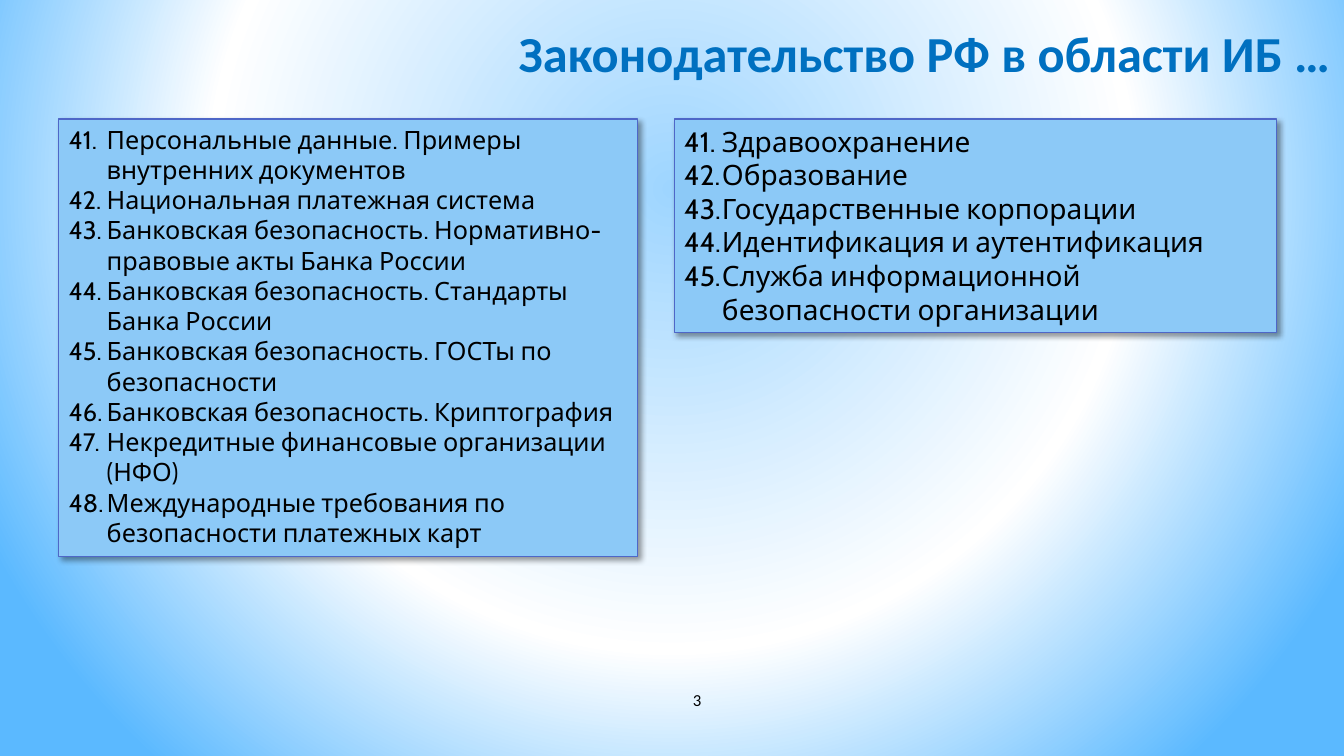
from pptx import Presentation
from pptx.dml.color import RGBColor
from pptx.enum.text import MSO_ANCHOR, MSO_AUTO_SIZE, PP_ALIGN
from pptx.oxml import parse_xml
from pptx.oxml.ns import nsdecls
from pptx.util import Pt

TOP, MIDDLE = MSO_ANCHOR.TOP, MSO_ANCHOR.MIDDLE
RIGHT, CENTER, LEFT = PP_ALIGN.RIGHT, PP_ALIGN.CENTER, PP_ALIGN.LEFT
NO_FIT = MSO_AUTO_SIZE.NONE

THEME = {
    "text": RGBColor.from_string("000000"),
    "title": RGBColor.from_string("0070C0"),
    "panel": RGBColor.from_string("8CC9F7"),
    "border": RGBColor.from_string("4E67C8"),
    "backdrop": [(0, "9ED5FF"), (60, "FFFFFF"), (100, "5BB9FF")],
    "title_size": Pt(36),
    "left_size": Pt(18),
    "right_size": Pt(20),
    "number_size": Pt(12),
    "head_font": "Calibri",
    "body_font": "Cabin",
}
FIRST_NUMBER = 41
HANG = Pt(27)


def set_frame(sp, box, anchor, margins):
    sp.left, sp.top, sp.width, sp.height = [Pt(v) for v in box]
    tf = sp.text_frame
    frame = {"word_wrap": True, "auto_size": NO_FIT, "vertical_anchor": anchor}
    sides = ("margin_left", "margin_top", "margin_right", "margin_bottom")
    frame.update(zip(sides, [Pt(v) for v in margins]))
    for name, value in frame.items():
        setattr(tf, name, value)
    return tf


def write(p, text, align, size, font, color, bold=False):
    p.alignment = align
    p.space_before = Pt(0)
    r = p.add_run()
    r.text = text
    for name, value in {"size": size, "name": font, "bold": bold}.items():
        setattr(r.font, name, value)
    r.font.color.rgb = color


prs = Presentation()
prs.slide_width, prs.slide_height = Pt(960), Pt(540)
s = prs.slides.add_slide(prs.slide_layouts[3])

# Background: radial gradient
s.background.fill.solid()
bg_pr = s.background._cSld.bg.bgPr
stops = "".join(
    f'<a:gs pos="{pos * 1000}"><a:srgbClr val="{color}"/></a:gs>'
    for pos, color in THEME["backdrop"])
bg_pr.replace(bg_pr[0], parse_xml(
    f'<a:gradFill {nsdecls("a")} rotWithShape="1"><a:gsLst>{stops}</a:gsLst>'
    '<a:path path="circle"><a:fillToRect l="20000" t="10000" r="20000" b="60000"/>'
    '</a:path></a:gradFill>'))

# Title
tf = set_frame(s.shapes.title, (46, 15, 904.5, 45), TOP, (0, 1, 0, 0))
write(tf.paragraphs[0], "Законодательство РФ в области ИБ …", RIGHT,
      THEME["title_size"], THEME["head_font"], THEME["title"], True)

# Numbered panels
panels = [
    (1, (42, 85, 413.5, 312.5), THEME["left_size"], [
        "Персональные данные. Примеры внутренних документов",
        "Национальная платежная система",
        "Банковская безопасность. Нормативно-правовые акты Банка России",
        "Банковская безопасность. Стандарты Банка России",
        "Банковская безопасность. ГОСТы по безопасности",
        "Банковская безопасность. Криптография",
        "Некредитные финансовые организации (НФО)",
        "Международные требования по безопасности платежных карт",
    ]),
    (2, (481.5, 85, 430.5, 152.5), THEME["right_size"], [
        "Здравоохранение",
        "Образование",
        "Государственные корпорации",
        "Идентификация и аутентификация",
        "Служба информационной безопасности организации",
    ]),
]
for idx, box, size, items in panels:
    sp = s.placeholders[idx]
    tf = set_frame(sp, box, TOP, (7.2, 3.6, 7.2, 3.6))
    sp.fill.solid()
    sp.fill.fore_color.rgb = THEME["panel"]
    sp.line.color.rgb = THEME["border"]
    sp.line.width = Pt(0.75)
    sp._element.spPr.append(parse_xml(
        f'<a:effectLst {nsdecls("a")}><a:outerShdw blurRad="{Pt(4)}" dist="{Pt(3)}" '
        'dir="2700000" algn="tl" rotWithShape="0"><a:srgbClr val="000000">'
        '<a:alpha val="40000"/></a:srgbClr></a:outerShdw></a:effectLst>'))
    for i, item in enumerate(items):
        p = tf.add_paragraph() if i else tf.paragraphs[0]
        pPr = p._p.get_or_add_pPr()
        pPr.set("marL", str(HANG))
        pPr.set("indent", str(-HANG))
        pPr.append(parse_xml(
            f'<a:buFont {nsdecls("a")} typeface="+mj-lt"/>'))
        pPr.append(parse_xml(
            f'<a:buAutoNum {nsdecls("a")} type="arabicPeriod" startAt="{FIRST_NUMBER}"/>'))
        write(p, item, LEFT, size, THEME["body_font"], THEME["text"])
        pPr[-2].set("typeface", THEME["body_font"])

# Slide number
sp = s.shapes.add_textbox(0, 0, 0, 0)
tf = set_frame(sp, (400.5, 494.5, 192, 12.5), MIDDLE, (0, 0, 0, 0))
p = tf.paragraphs[0]
p.line_spacing = Pt(12.4)
p._p.get_or_add_pPr().set("marL", str(Pt(3)))
write(p, "3", CENTER, THEME["number_size"], THEME["head_font"], THEME["text"])

prs.save("out.pptx")
